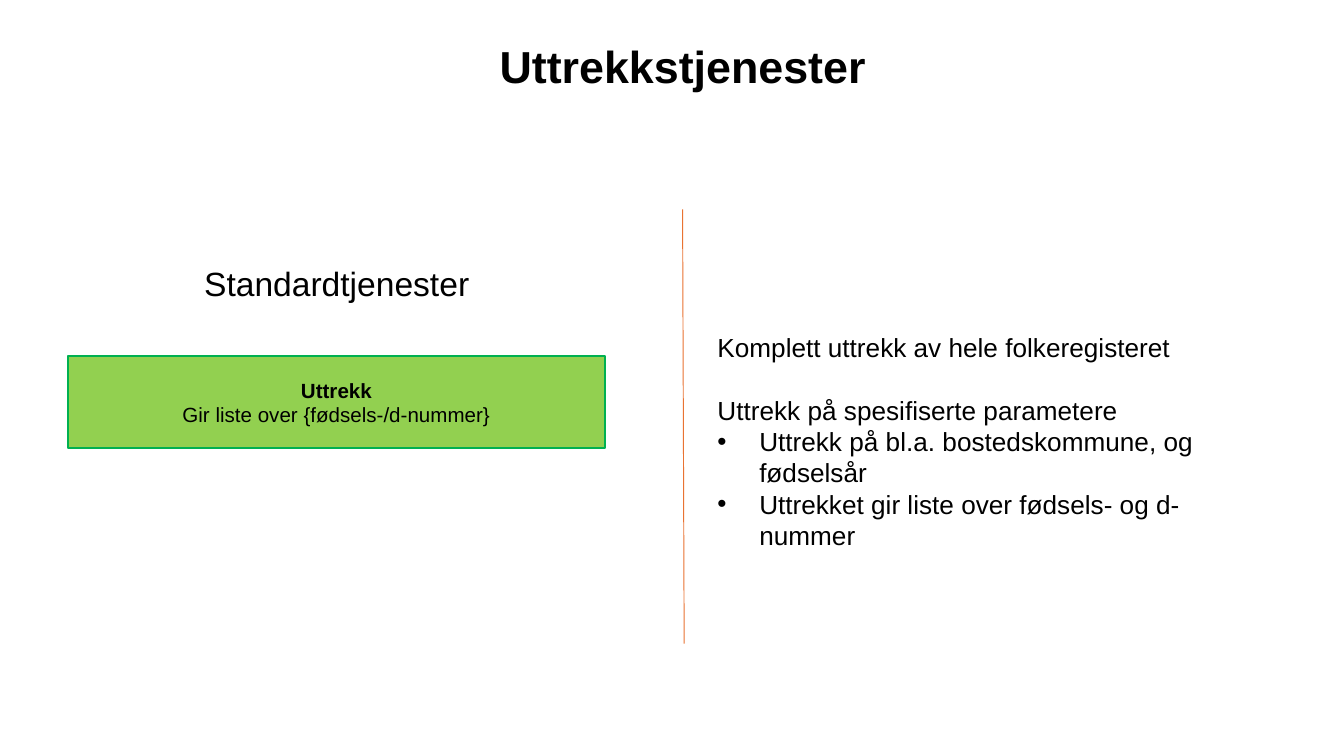
from lxml import etree
from pptx import Presentation
from pptx.dml.color import RGBColor
from pptx.enum.shapes import MSO_CONNECTOR, MSO_SHAPE
from pptx.enum.text import MSO_ANCHOR, PP_ALIGN
from pptx.oxml.ns import qn
from pptx.util import Cm, Pt

CENTER, LEFT = PP_ALIGN.CENTER, PP_ALIGN.LEFT
TOP, MIDDLE = MSO_ANCHOR.TOP, MSO_ANCHOR.MIDDLE
RECTANGLE, STRAIGHT = MSO_SHAPE.RECTANGLE, MSO_CONNECTOR.STRAIGHT

COLORS = {
    "text": "000000",
    "box": "92D050",
    "border": "00B050",
    "divider": "E97332",
}


def rgb(name):
    return RGBColor.from_string(COLORS[name])


def write(tf, text, first=False, size=14, bold=False, align=LEFT,
          spacing=None, before=None, bullet=False, font="Arial"):
    p = tf.paragraphs[0] if first else tf.add_paragraph()
    p.alignment = align
    if spacing is not None:
        p.line_spacing = spacing
    if before is not None:
        p.space_before = Pt(before)
    if bullet:
        pPr = p._p.get_or_add_pPr()
        pPr.set("marL", str(Cm(0.79)))
        pPr.set("indent", str(-Cm(0.79)))
        etree.SubElement(pPr, qn("a:buFont")).set("typeface", font)
        etree.SubElement(pPr, qn("a:buChar")).set("char", "•")
    r = p.add_run()
    r.text = text
    r.font.name = font
    r.font.size = Pt(size)
    r.font.bold = bold
    r.font.color.rgb = rgb("text")


class Deck:
    def __init__(self, width, height):
        self.prs = Presentation()
        self.prs.slide_width, self.prs.slide_height = Cm(width), Cm(height)
        self.s = self.prs.slides.add_slide(self.prs.slide_layouts[6])

    def text_box(self, x, y, w, h, inset=True):
        tf = self.s.shapes.add_textbox(Cm(x), Cm(y), Cm(w), Cm(h)).text_frame
        tf.word_wrap = True
        tf.vertical_anchor = TOP
        if not inset:
            tf.margin_left = tf.margin_right = tf.margin_top = tf.margin_bottom = 0
        return tf

    def heading(self, text, x, y, w, h, **style):
        tf = self.text_box(x, y, w, h, inset=False)
        write(tf, text, first=True, align=CENTER, spacing=0.9, **style)

    def service(self, name, description, x, y, w, h):
        sp = self.s.shapes.add_shape(RECTANGLE, Cm(x), Cm(y), Cm(w), Cm(h))
        sp.shadow.inherit = False
        sp.fill.solid()
        sp.fill.fore_color.rgb = rgb("box")
        sp.line.color.rgb = rgb("border")
        sp.line.width = Pt(1)
        tf = sp.text_frame
        tf.word_wrap = True
        tf.vertical_anchor = MIDDLE
        write(tf, name, first=True, size=11, bold=True, align=CENTER)
        write(tf, description, size=11, align=CENTER)

    def divider(self, x1, y1, x2, y2):
        line = self.s.shapes.add_connector(STRAIGHT, Cm(x1), Cm(y1), Cm(x2), Cm(y2))
        line.line.color.rgb = rgb("divider")
        line.line.width = Pt(0.5)
        etree.SubElement(line._element.spPr, qn("a:effectLst"))

    def details(self, intro, topic, points, x, y, w, h):
        tf = self.text_box(x, y, w, h)
        write(tf, intro, first=True)
        write(tf, topic, before=16.5)
        for point in points:
            write(tf, point, bullet=True)


def main():
    deck = Deck(25.4, 14.2)
    deck.heading("Uttrekkstjenester", 0.86, 0.84, 24.08, 1.45, size=24, bold=True)
    deck.service("Uttrekk", "Gir liste over {fødsels-/d-nummer}", 1.28, 6.73, 10.16, 1.75)
    deck.heading("Standardtjenester", 0.89, 5.05, 10.95, 1.32, size=18)
    deck.divider(12.9, 3.96, 12.93, 12.17)
    deck.details(
        "Komplett uttrekk av hele folkeregisteret",
        "Uttrekk på spesifiserte parametere",
        ["Uttrekk på bl.a. bostedskommune, og fødselsår",
         "Uttrekket gir liste over fødsels- og d-nummer"],
        13.31, 6.15, 10.24, 5.05)
    deck.prs.save("out.pptx")


if __name__ == "__main__":
    main()
